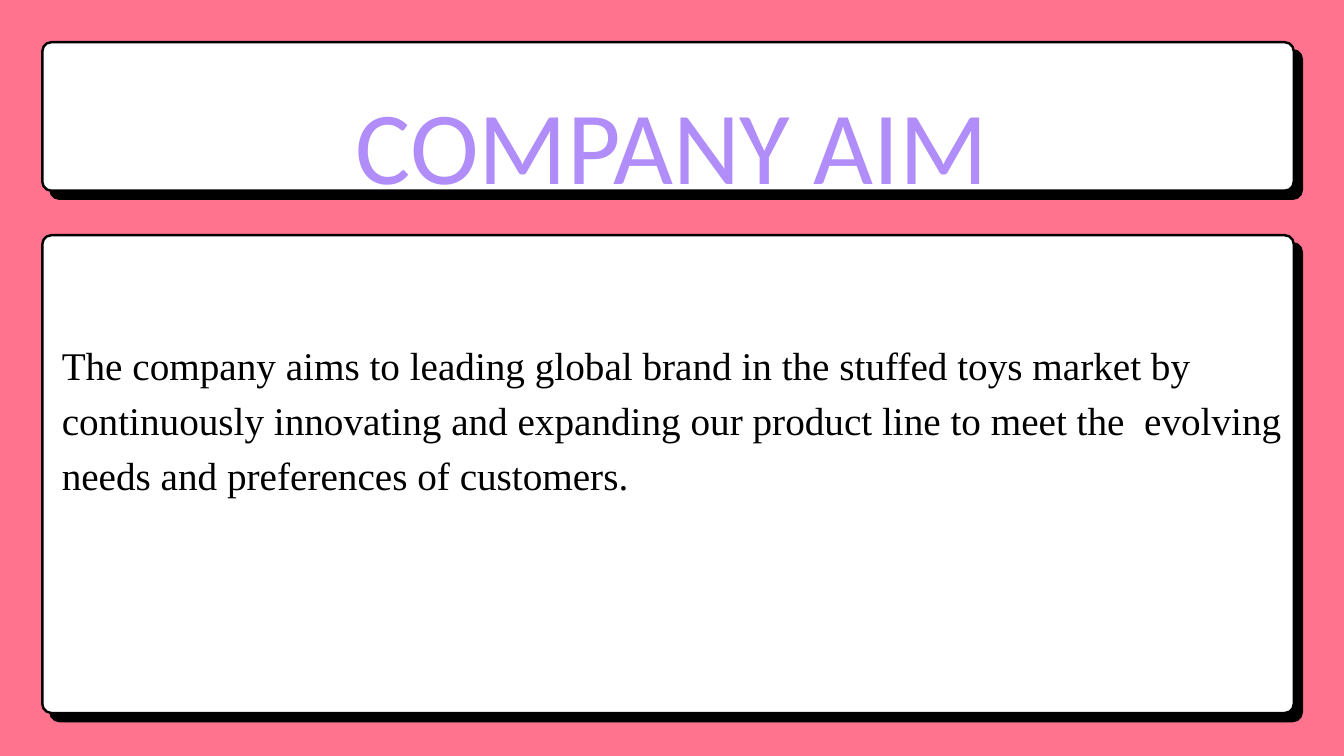
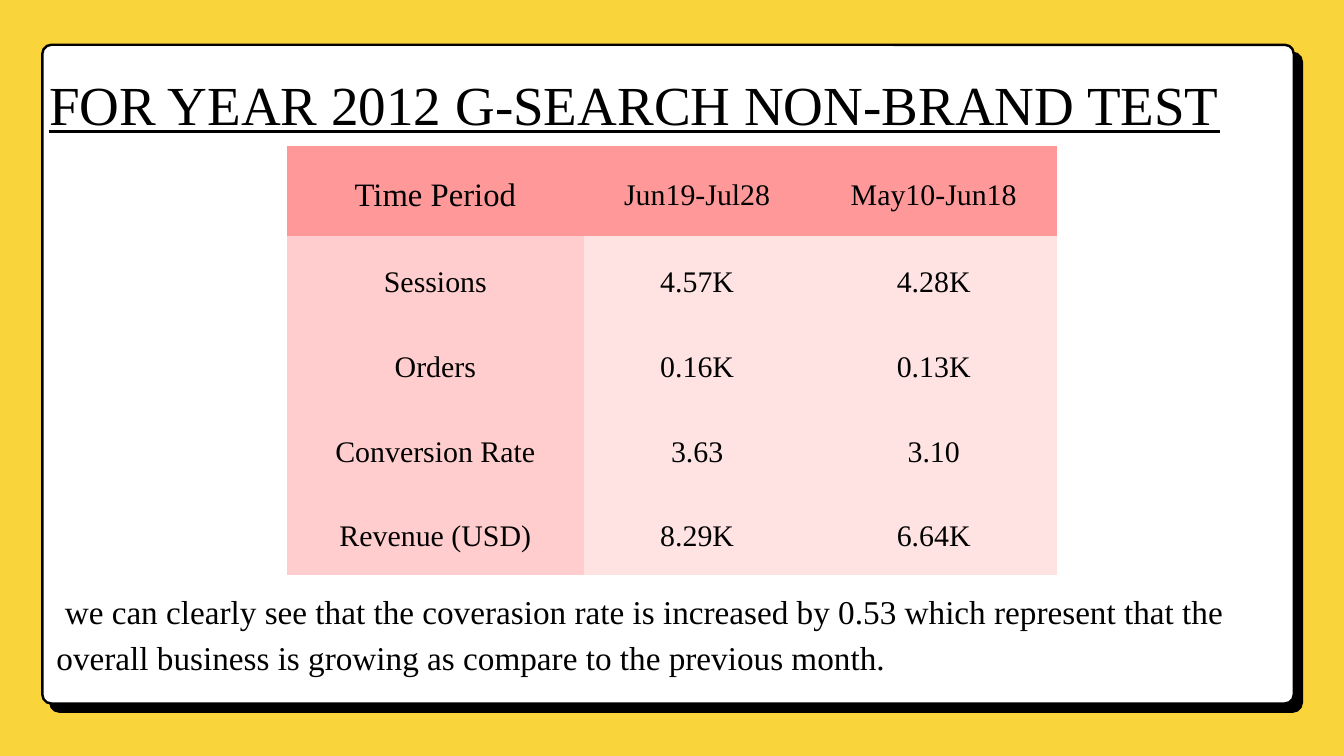
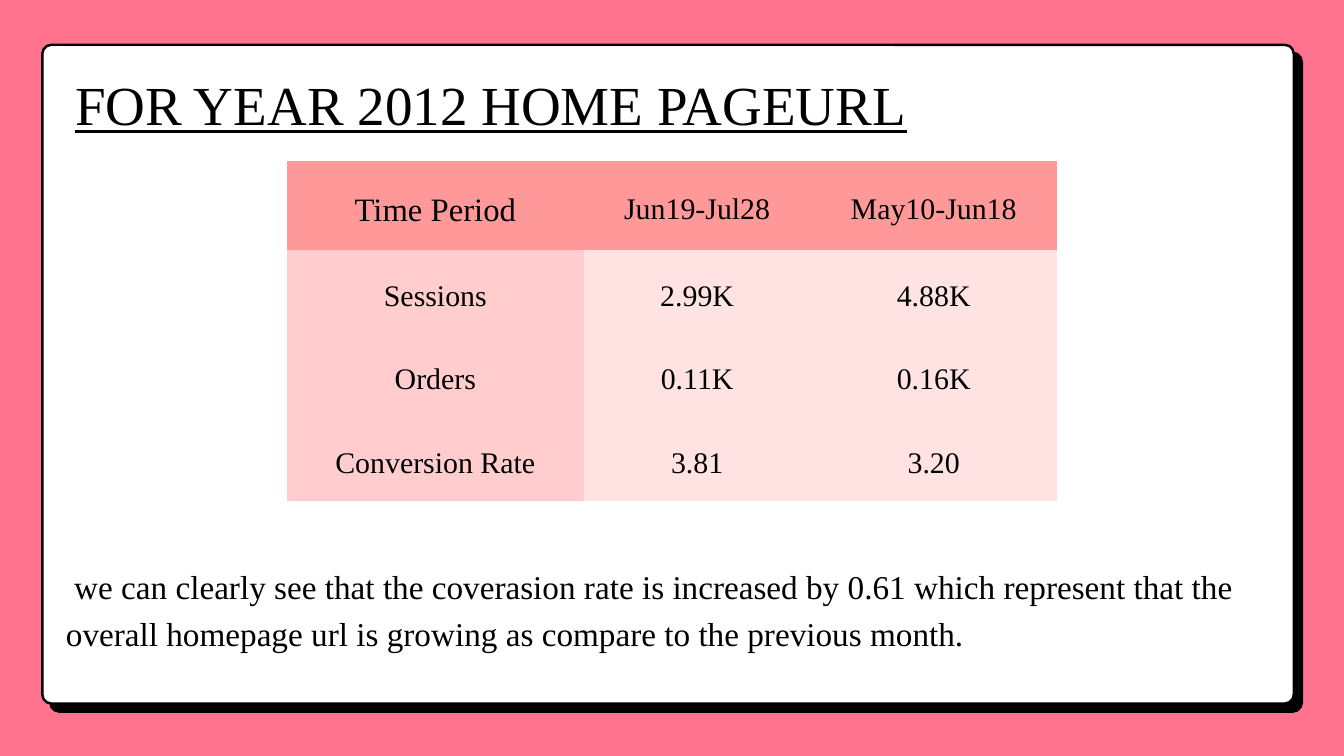
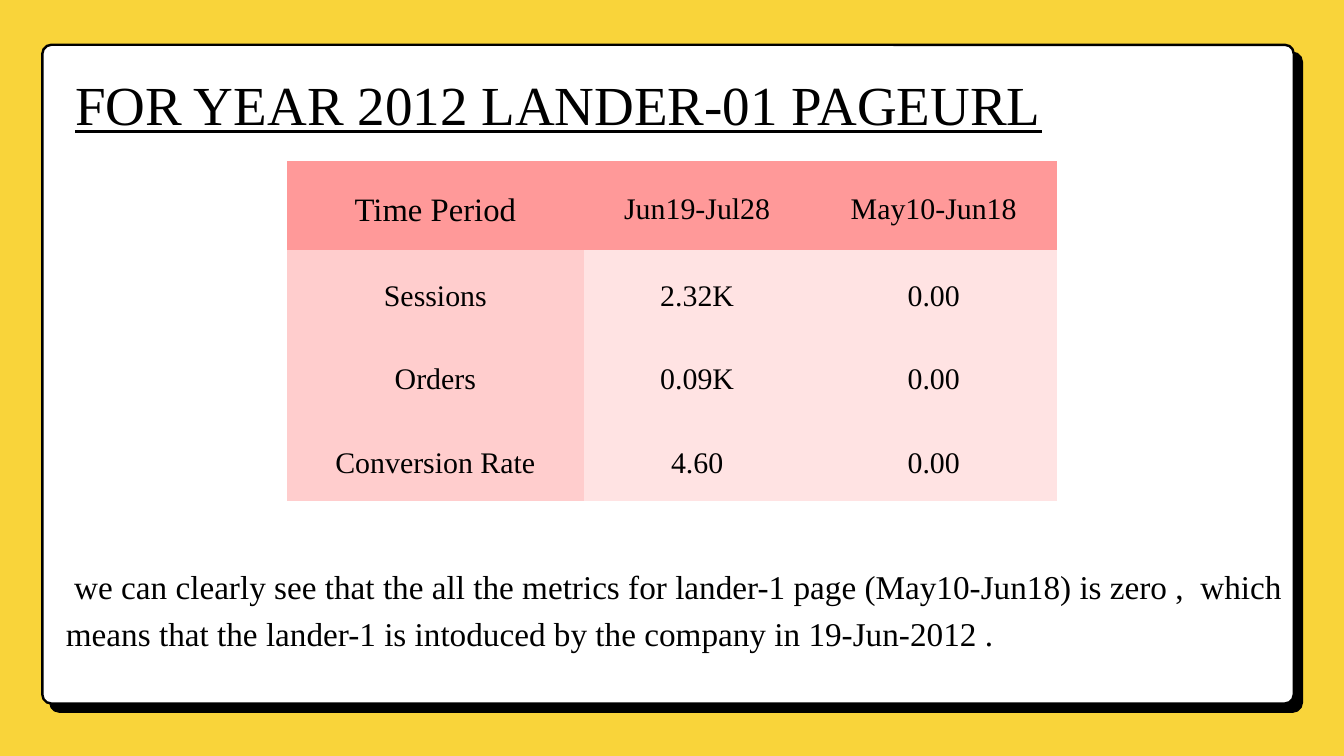
import pptx
import pptx.dml.color
import pptx.enum.shapes
import pptx.enum.text
import pptx.oxml.ns
import pptx.util

RGBColor = pptx.dml.color.RGBColor
Pt = pptx.util.Pt
Align = pptx.enum.text.PP_ALIGN
Anchor = pptx.enum.text.MSO_ANCHOR

PINK = RGBColor(0xFF, 0x73, 0x8E)
YELLOW = RGBColor(0xF9, 0xD4, 0x3A)
PURPLE = RGBColor(0xB0, 0x8D, 0xF8)
HEADER_ROSE = RGBColor(0xFF, 0x99, 0x99)
LABEL_ROSE = RGBColor(0xFF, 0xCD, 0xCD)
VALUE_ROSE = RGBColor(0xFF, 0xE3, 0xE3)
BLACK = RGBColor(0, 0, 0)
WHITE = RGBColor(0xFF, 0xFF, 0xFF)

SERIF = "Times New Roman"
SLIDE_WIDTH = 1440
SLIDE_HEIGHT = 810
TITLE_ONLY = 5
NO_TABLE_STYLE = "{2D5ABB26-0587-4C30-8999-92F81FD0307C}"

PANEL_LEFT = 45.4
PANEL_WIDTH = 1340.8
PANEL_RADIUS = 9.6
PANEL_LINE = 2.6
SHADOW_OFFSET = 8.64

COLUMN_WIDTHS = (319, 242, 265)
CELL_MARGIN = 15
HEADINGS = ("Time Period", "Jun19-Jul28", "May10-Jun18")

REPORTS = [
    {
        "background": YELLOW,
        "title": "FOR YEAR 2012 G-SEARCH NON-BRAND TEST",
        "title_box": (52.6, 63.4, 1335.6, 88.6),
        "table_top": 156.4,
        "row_heights": (96.5, 90.7),
        "rows": [
            ("Sessions", "4.57K", "4.28K"),
            ("Orders", "0.16K", "0.13K"),
            ("Conversion Rate", "3.63", "3.10"),
            ("Revenue (USD)", "8.29K", "6.64K"),
        ],
        "finding": " we can clearly see that the coverasion rate is increased by 0.53 which represent "
                   "that the overall business is growing as compare to the previous month.",
        "finding_box": (60.5, 626.4, 1319, 102.2),
    },
    {
        "background": PINK,
        "title": "FOR YEAR 2012 HOME PAGEURL",
        "title_box": (80.6, 63.4, 1024.6, 88.6),
        "table_top": 172.2,
        "row_heights": (95.4, 89.9),
        "rows": [
            ("Sessions", "2.99K", "4.88K"),
            ("Orders", "0.11K", "0.16K"),
            ("Conversion Rate", "3.81", "3.20"),
        ],
        "finding": " we can clearly see that the coverasion rate is increased by 0.61 which represent "
                   "that the overall homepage url is growing as compare to the previous month.",
        "finding_box": (70.6, 599.8, 1319, 102.2),
    },
    {
        "background": YELLOW,
        "title": "FOR YEAR 2012 LANDER-01 PAGEURL",
        "title_box": (80.6, 63.4, 1148.4, 88.6),
        "table_top": 172.2,
        "row_heights": (95.4, 89.9),
        "rows": [
            ("Sessions", "2.32K", "0.00"),
            ("Orders", "0.09K", "0.00"),
            ("Conversion Rate", "4.60", "0.00"),
        ],
        "finding": " we can clearly see that the all the metrics for lander-1 page (May10-Jun18) is zero ,  "
                   "which means that the lander-1 is intoduced by the company in 19-Jun-2012 .",
        "finding_box": (70.6, 599.8, 1319, 102.2),
    },
]


class Deck:
    def __init__(self):
        self.presentation = pptx.Presentation()
        self.presentation.slide_width = Pt(SLIDE_WIDTH)
        self.presentation.slide_height = Pt(SLIDE_HEIGHT)
        self.slide = None

    def add_slide(self, background):
        layout = self.presentation.slide_layouts[TITLE_ONLY]
        self.slide = self.presentation.slides.add_slide(layout)
        fill = self.slide.background.fill
        fill.solid()
        fill.fore_color.rgb = background

    def panel(self, top, height):
        for offset, colour in ((SHADOW_OFFSET, BLACK), (0, WHITE)):
            shape = self.slide.shapes.add_shape(
                pptx.enum.shapes.MSO_SHAPE.ROUNDED_RECTANGLE,
                Pt(PANEL_LEFT + offset), Pt(top + offset), Pt(PANEL_WIDTH), Pt(height))
            shape.adjustments[0] = PANEL_RADIUS / height
            shape.shadow.inherit = False
            shape.fill.solid()
            shape.fill.fore_color.rgb = colour
            shape.line.color.rgb = BLACK
            shape.line.width = Pt(PANEL_LINE)

    def set_text(self, frame, text, size, spacing, align=Align.LEFT, colour=BLACK, **font_format):
        paragraph = frame.paragraphs[0]
        paragraph.alignment = align
        paragraph.line_spacing = Pt(spacing)
        run = paragraph.add_run()
        run.text = text
        run.font.color.rgb = colour
        for name, value in {"name": SERIF, "size": Pt(size), **font_format}.items():
            setattr(run.font, name, value)

    def fill_text_shape(self, shape, box, text, *style, **options):
        for name, value in zip(("left", "top", "width", "height"), box):
            setattr(shape, name, Pt(value))
        frame_format = {
            "word_wrap": True,
            "auto_size": pptx.enum.text.MSO_AUTO_SIZE.SHAPE_TO_FIT_TEXT,
            "vertical_anchor": Anchor.TOP,
            "margin_left": 0, "margin_top": 0, "margin_right": 0, "margin_bottom": 0,
        }
        for name, value in frame_format.items():
            setattr(shape.text_frame, name, value)
        self.set_text(shape.text_frame, text, *style, **options)

    def title(self, box, text, *style, **options):
        shape = self.slide.shapes.title
        shape.element.getparent().append(shape.element)
        self.fill_text_shape(shape, box, text, *style, **options)

    def text(self, box, text, *style, **options):
        shape = self.slide.shapes.add_textbox(0, 0, 0, 0)
        self.fill_text_shape(shape, box, text, *style, **options)

    def table(self, top, row_heights, rows):
        header_height, body_height = row_heights
        width = sum(COLUMN_WIDTHS)
        height = header_height + body_height * len(rows)
        shape = self.slide.shapes.add_table(
            len(rows) + 1, len(COLUMN_WIDTHS),
            Pt((SLIDE_WIDTH - width) / 2), Pt(top), Pt(width), Pt(height))
        for style in shape.element.iter(pptx.oxml.ns.qn("a:tableStyleId")):
            style.text = NO_TABLE_STYLE
        table = shape.table
        table.first_row = table.horz_banding = False
        for column, column_width in zip(table.columns, COLUMN_WIDTHS):
            column.width = Pt(column_width)
        for row_index, values in enumerate([HEADINGS, *rows]):
            table.rows[row_index].height = Pt(body_height if row_index else header_height)
            for column_index, value in enumerate(values):
                self.cell(table.cell(row_index, column_index), value, row_index, column_index)

    def cell(self, cell, value, row_index, column_index):
        if row_index == 0:
            colour = HEADER_ROSE
        else:
            colour = VALUE_ROSE if column_index else LABEL_ROSE
        cell.fill.solid()
        cell.fill.fore_color.rgb = colour
        cell.vertical_anchor = Anchor.MIDDLE
        for side in ("left", "top", "right", "bottom"):
            setattr(cell, f"margin_{side}", Pt(CELL_MARGIN))
        size = 32 if row_index or column_index else 35
        self.set_text(cell.text_frame, value, size, size * 1.4, Align.CENTER)


def add_aim(deck):
    deck.add_slide(PINK)
    deck.panel(45.2, 159.1)
    deck.title((147.6, 64.1, 1145.5, 149.8), "COMPANY AIM", 111, 155.4,
               align=Align.CENTER, colour=PURPLE, name="Calibri")
    deck.panel(252, 511.9)
    deck.text((66.2, 357.1, 1329.8, 296.6),
              "The company aims to leading global brand in the stuffed toys market by continuously "
              "innovating and expanding our product line to meet the  evolving needs and preferences "
              "of customers.", 42, 58.8)


def add_report(deck, report):
    deck.add_slide(report["background"])
    deck.panel(48, 705.8)
    deck.table(report["table_top"], report["row_heights"], report["rows"])
    deck.text(report["finding_box"], report["finding"], 35.6, 49.8)
    deck.title(report["title_box"], report["title"], 59, 82.6, underline=True)


def main():
    deck = Deck()
    add_aim(deck)
    for report in REPORTS:
        add_report(deck, report)
    deck.presentation.save("out.pptx")


if __name__ == "__main__":
    main()
